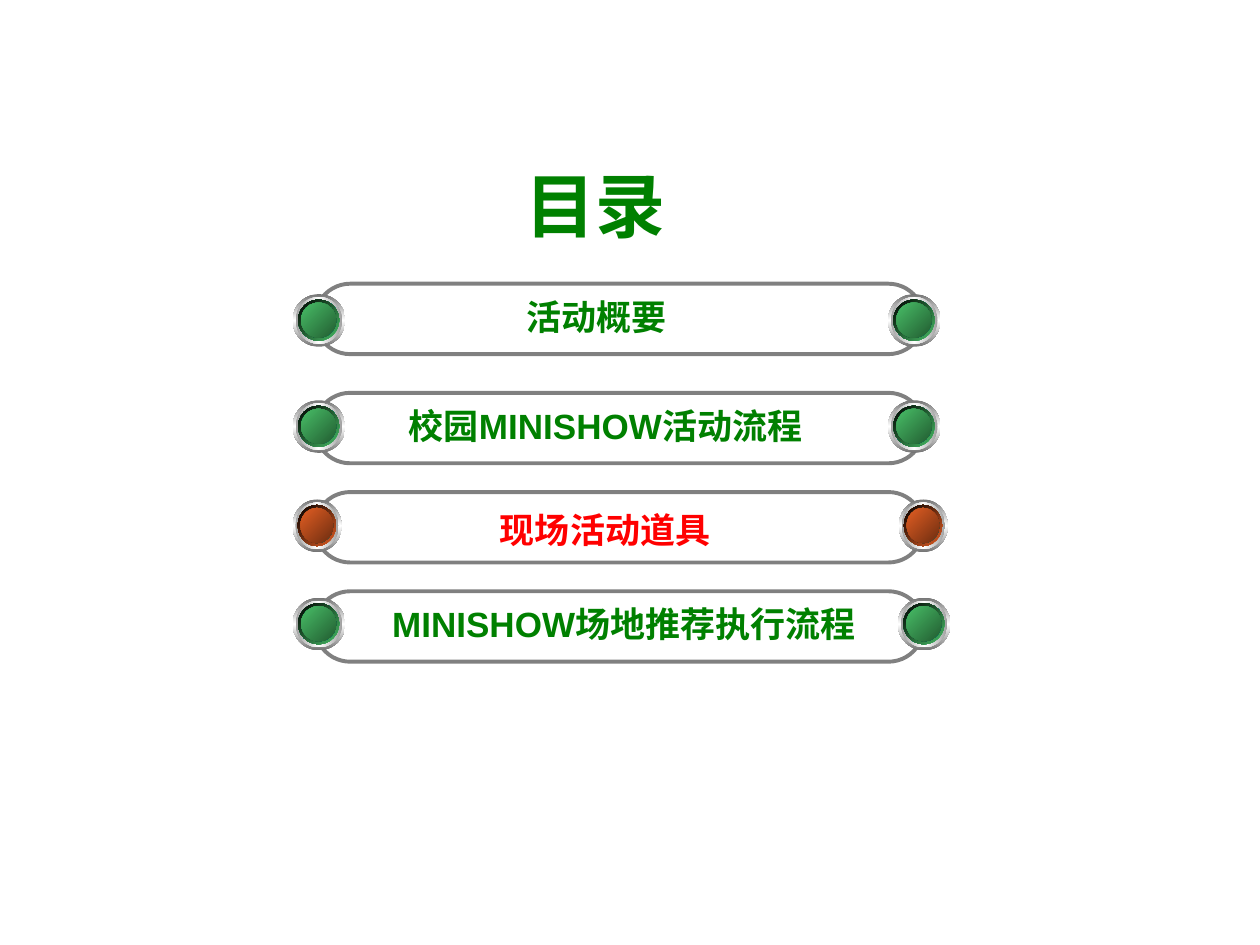
from dataclasses import dataclass

from pptx import Presentation
from pptx.dml.color import RGBColor
from pptx.enum.shapes import MSO_SHAPE
from pptx.enum.text import MSO_AUTO_SIZE, PP_ALIGN
from pptx.oxml import parse_xml
from pptx.oxml.ns import nsdecls
from pptx.shapes.autoshape import Shape
from pptx.slide import Slide
from pptx.util import Cm, Pt


@dataclass(frozen=True)
class Gem:
    light: str
    dark: str
    squeeze: float  # width over height


@dataclass(frozen=True)
class Theme:
    font: str = "Arial"
    title: int = 40
    label: int = 20
    text: str = "008000"
    alert: str = "FF0000"
    edge: str = "808080"
    green: Gem = Gem("48BE67", "225C31", 1)
    orange: Gem = Gem("E35E23", "6D2D10", 0.93)


@dataclass(frozen=True)
class Layer:
    inset: float
    size: float
    angle: int
    stops: tuple[str, ...]


@dataclass(frozen=True)
class Row:
    label: str
    color: str
    gem: Gem
    bar_top: float
    gem_top: float
    right: float
    text_top: float
    mid: float
    width: float


THEME = Theme()
BAR_LEFT, BAR_WIDTH, BAR_HEIGHT = 6.35, 12.27, 1.42
GEM_LEFT = 5.9
ROWS = (
    Row("活动概要", THEME.text, THEME.green,
        5.72, 5.93, 17.9, 5.83, 12.03, 3.4),
    Row("校园MINISHOW活动流程", THEME.text, THEME.green,
        7.92, 8.07, 17.9, 8.03, 12.21, 9),
    Row("现场活动道具", THEME.alert, THEME.orange,
        9.92, 10.07, 18.12, 10.13, 12.2, 4.8),
    Row("MINISHOW场地推荐执行流程", THEME.text, THEME.green,
        11.92, 12.05, 18.1, 12.02, 12.58, 10.3),
)


def shade(shape: Shape, layer: Layer) -> None:
    """Fill with evenly spaced colour stops along a clockwise angle."""
    last = len(layer.stops) - 1
    stops = "".join(
        f'<a:gs pos="{100000 * i // last}"><a:srgbClr val="{color}"/></a:gs>'
        for i, color in enumerate(layer.stops))
    fill = parse_xml(
        f'<a:gradFill {nsdecls("a")} rotWithShape="1"><a:gsLst>{stops}</a:gsLst>'
        f'<a:lin ang="{layer.angle * 60000}" scaled="1"/></a:gradFill>')
    shape._element.spPr.find(
        "{http://schemas.openxmlformats.org/drawingml/2006/main}prstGeom"
    ).addnext(fill)


def add_gem(slide: Slide, left: float, top: float, gem: Gem) -> None:
    layers = (
        Layer(0, 1.06, 90, ("757575", "FFFFFF", "757575")),
        Layer(0.06, 0.94, 180, ("A1A1A1", "FFFFFF", "A1A1A1")),
        Layer(0.11, 0.83, 225, ("FEFEFE", "009999", "FEFEFE")),
        Layer(0.11, 0.83, 225, (gem.light, "000000")),
        Layer(0.17, 0.71, 135, ("005252", "009999", "005252")),
        Layer(0.17, 0.71, 225, (gem.dark, gem.light)),
    )
    group = slide.shapes.add_group_shape()
    for layer in layers:
        disc = group.shapes.add_shape(
            MSO_SHAPE.OVAL,
            Cm(left + layer.inset * gem.squeeze), Cm(top + layer.inset),
            Cm(layer.size * gem.squeeze), Cm(layer.size))
        disc.shadow.inherit = False
        disc.line.fill.background()
        shade(disc, layer)


def add_bar(slide: Slide, top: float) -> None:
    bar = slide.shapes.add_shape(
        MSO_SHAPE.ROUNDED_RECTANGLE,
        Cm(BAR_LEFT), Cm(top), Cm(BAR_WIDTH), Cm(BAR_HEIGHT))
    bar.adjustments[0] = 0.5
    bar.shadow.inherit = False
    bar.fill.background()
    bar.line.color.rgb = RGBColor.from_string(THEME.edge)
    bar.line.width = Pt(2.25)


def add_text(slide: Slide, text: str, mid: float, top: float, width: float,
             height: float, size: int, color: str) -> None:
    box = slide.shapes.add_textbox(
        Cm(mid - width / 2), Cm(top), Cm(width), Cm(height))
    frame = box.text_frame
    frame.word_wrap = False
    frame.auto_size = MSO_AUTO_SIZE.SHAPE_TO_FIT_TEXT
    para = frame.paragraphs[0]
    para.text = text
    para.alignment = PP_ALIGN.CENTER
    para.font.name = THEME.font
    para.font.size = Pt(size)
    para.font.bold = True
    para.font.color.rgb = RGBColor.from_string(color)


def main() -> None:
    deck = Presentation()
    deck.slide_width, deck.slide_height = Cm(25.4), Cm(19.05)
    slide = deck.slides.add_slide(deck.slide_layouts[6])
    add_text(slide, "目录", 12, 3.15, 3.4, 1.96, THEME.title, THEME.text)
    for row in ROWS:
        add_bar(slide, row.bar_top)
        for left in (GEM_LEFT, row.right):
            add_gem(slide, left, row.gem_top, row.gem)
        add_text(slide, row.label, row.mid, row.text_top, row.width, 1.12,
                 THEME.label, row.color)
    deck.save("out.pptx")


if __name__ == "__main__":
    main()
